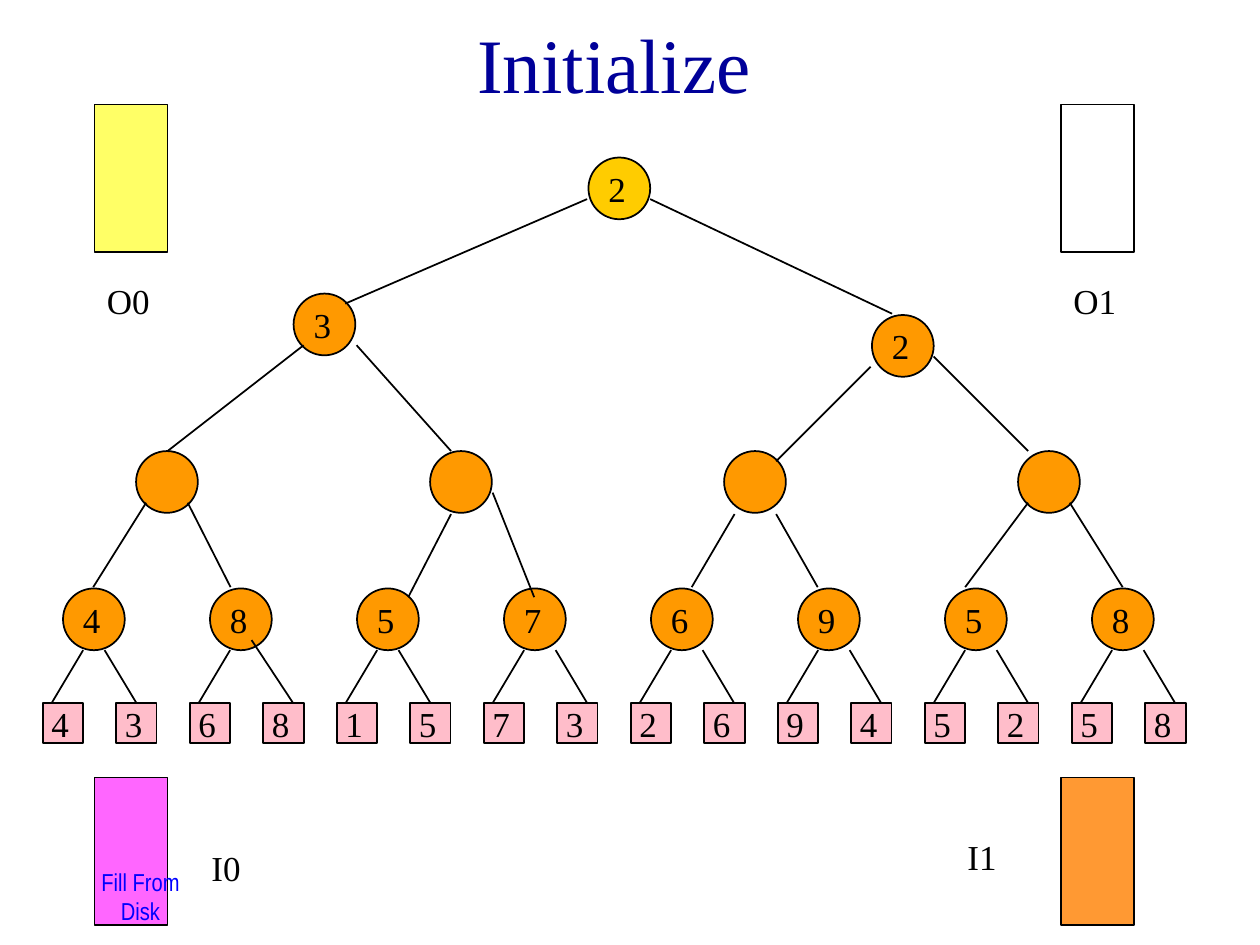
from dataclasses import dataclass

from lxml.etree import SubElement
from pptx import Presentation
from pptx.dml.color import RGBColor
from pptx.enum.shapes import MSO_CONNECTOR as Link, MSO_SHAPE as Shape
from pptx.enum.text import MSO_ANCHOR as Anchor, PP_ALIGN as Align
from pptx.oxml.ns import qn
from pptx.util import Inches, Pt


@dataclass(frozen=True)
class Theme:
    serif: str = "Times New Roman"
    narrow: str = "Arial Narrow"
    title_size: int = 44
    label_size: int = 20
    note_size: int = 14
    ink: str = "000000"
    title: str = "000099"
    note: str = "0000FF"
    leaf: str = "FFBDCA"
    node: str = "FF9900"
    root: str = "FFCC00"


THEME = Theme()
WIDTH, HEIGHT = 10, 7.5

# Content
TITLE = "Initialize"
LEAVES = "4368157326945258"
MATCHES = "48576958"  # loser kept in each first-round match
UPPER_NODES = [  # left, top, value, fill
    (2.33, 2.33, "3", THEME.node),
    (6.92, 2.5, "2", THEME.node),
    (4.67, 1.25, "2", THEME.root),
]
BUFFERS = [  # left, top, fill, label, label left, label top
    (0.75, 0.83, "FFFF66", "O0", 0.75, 2.17),
    (8.42, 0.83, "FFFFFF", "O1", 8.42, 2.17),
    (0.75, 6.17, "FF66FF", "I0", 1.58, 6.67),
    (8.42, 6.17, "FF9933", "I1", 7.58, 6.58),
]
NOTE = "Fill From Disk"

# Grid: leaves every PITCH, matches every two, second round every four
PITCH = 7 / 12
LEAF, NODE = 0.32, 0.49
LEAF_TOP, MATCH_TOP, SECOND_TOP = 5.58, 4.67, 3.58
LABEL_W, LABEL_H = 0.34, 0.43
BUFFER_W, BUFFER_H = 0.58, 1.17

UPPER_EDGES = [
    (4.66, 1.58, 2.74, 2.41), (5.16, 1.58, 7.08, 2.49),
    (2.41, 2.74, 1.33, 3.58), (2.83, 2.74, 3.58, 3.58),
    (6.91, 2.91, 6.16, 3.66), (7.41, 2.83, 8.16, 3.58),
    (1.16, 3.99, 0.74, 4.66), (1.49, 3.99, 1.83, 4.66),
    (3.58, 4.08, 3.24, 4.74), (3.91, 3.91, 4.24, 4.74),
    (5.83, 4.08, 5.49, 4.66), (6.16, 4.08, 6.49, 4.66),
    (8.16, 3.99, 7.66, 4.66), (8.49, 3.99, 8.91, 4.66),
]
# Right-hand edge of each match: start offset, start top, end offset
CENTRED, OUTER, LOW = (0.33, 5.16, 0.58), (0.41, 5.16, 0.66), (0.33, 5.08, 0.66)
RIGHT_EDGES = [CENTRED, LOW, CENTRED] + [OUTER] * 5

deck = Presentation()
deck.slide_width, deck.slide_height = Inches(WIDTH), Inches(HEIGHT)
slide = deck.slides.add_slide(deck.slide_layouts[6])


def add_block(kind, left, top, width, height, fill):
    block = slide.shapes.add_shape(kind, *map(Inches, (left, top, width, height)))
    block.shadow.inherit = False
    block.fill.solid()
    block.fill.fore_color.rgb = RGBColor.from_string(fill)
    block.line.color.rgb = RGBColor.from_string(THEME.ink)
    block.line.width = Pt(1)
    return block


def add_edge(x1, y1, x2, y2):
    edge = slide.shapes.add_connector(Link.STRAIGHT, *map(Inches, (x1, y1, x2, y2)))
    edge.line.color.rgb = RGBColor.from_string(THEME.ink)
    edge.line.width = Pt(1)
    SubElement(edge._element.spPr, qn("a:effectLst"))
    return edge


def add_label(text, left, top, width=LABEL_W, height=LABEL_H, size=THEME.label_size,
              color=THEME.ink, font=THEME.serif, align=Align.LEFT, anchor=Anchor.TOP):
    frame = slide.shapes.add_textbox(*map(Inches, (left, top, width, height))).text_frame
    frame.word_wrap = True
    frame.vertical_anchor = anchor
    paragraph = frame.paragraphs[0]
    paragraph.alignment = align
    run = paragraph.add_run()
    run.text = text
    run.font.name, run.font.size = font, Pt(size)
    run.font.color.rgb = RGBColor.from_string(color)


# Leaves, then the tree's nodes
leaf_lefts = [0.34 + i * PITCH for i in range(len(LEAVES))]
match_lefts = [0.5 + 2 * i * PITCH for i in range(len(MATCHES))]
leaf_boxes = [add_block(Shape.RECTANGLE, left, LEAF_TOP, LEAF, LEAF, THEME.leaf)
              for left in leaf_lefts]
matches = [(left, MATCH_TOP, value, THEME.node)
           for left, value in zip(match_lefts, MATCHES)]
second_round = [(1.08 + 4 * i * PITCH, SECOND_TOP, "", THEME.node) for i in range(4)]
nodes = matches + second_round + UPPER_NODES
for left, top, _, fill in nodes:
    add_block(Shape.OVAL, left, top, NODE, NODE, fill)

# Edges
for ends in UPPER_EDGES:
    add_edge(*ends)
for i, (left, right_edge) in enumerate(zip(match_lefts, RIGHT_EDGES)):
    add_edge(left + 0.16, 5.16, left - 0.09, LEAF_TOP)
    start, start_top, end = right_edge
    edge = add_edge(left + start, start_top, left + end, LEAF_TOP)
    if right_edge == CENTRED:
        edge.end_connect(leaf_boxes[2 * i + 1], 0)

# Values
for left, value in zip(leaf_lefts, LEAVES):
    add_label(value, left - 0.03, LEAF_TOP - 0.05)
for left, top, value, _ in nodes:
    if value:
        add_label(value, left + 0.06, top + 0.03)

# Title, buffers and note
add_label(TITLE, 0, 0, 9.75, 1, THEME.title_size, THEME.title,
          align=Align.CENTER, anchor=Anchor.MIDDLE)
for left, top, fill, name, name_left, name_top in BUFFERS:
    add_block(Shape.RECTANGLE, left, top, BUFFER_W, BUFFER_H, fill)
    add_label(name, name_left, name_top, BUFFER_W)
add_label(NOTE, 0.67, 6.83, 0.89, 0.42, THEME.note_size, THEME.note,
          THEME.narrow, Align.CENTER)

deck.save("out.pptx")
